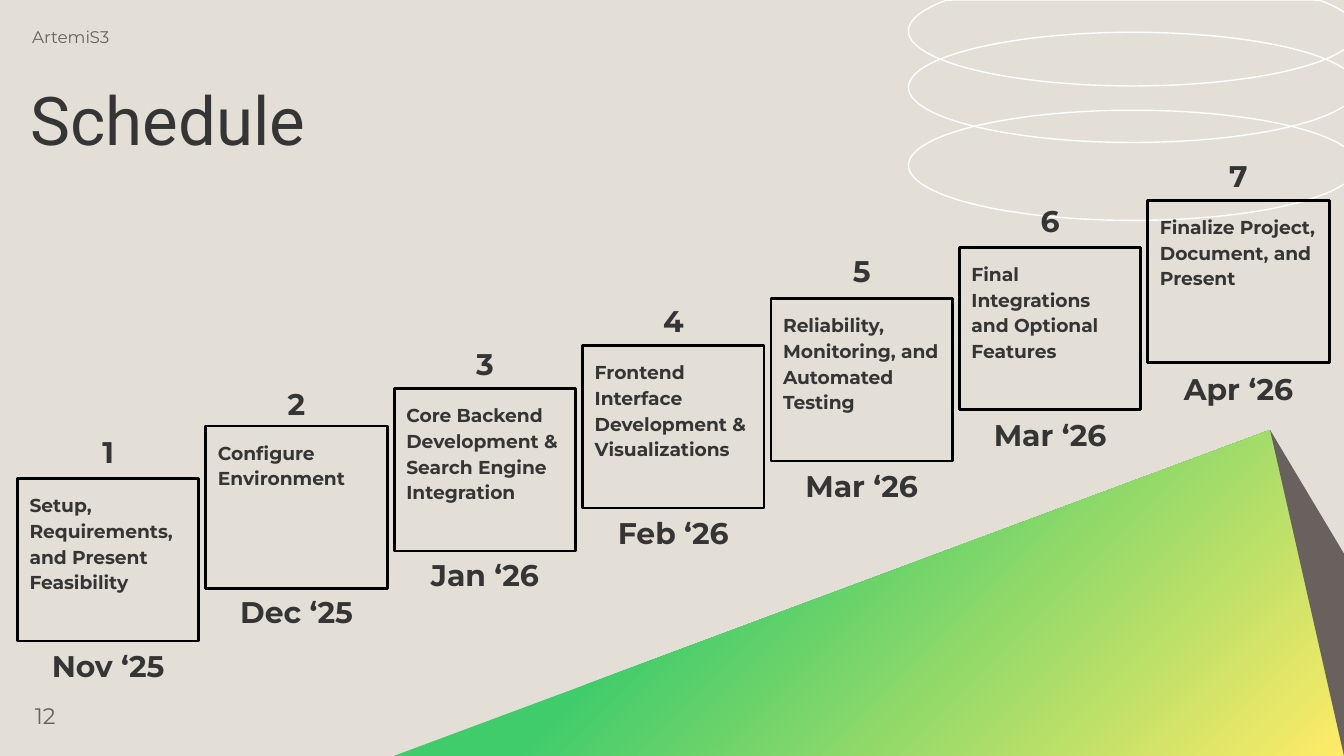
from copy import deepcopy
from dataclasses import dataclass
from math import acos, cos, pi, sin

from pptx import Presentation
from pptx.dml.color import RGBColor
from pptx.enum.shapes import MSO_SHAPE
from pptx.enum.text import MSO_ANCHOR, MSO_AUTO_SIZE, PP_ALIGN
from pptx.oxml.ns import qn
from pptx.shapes.autoshape import Shape
from pptx.slide import Slide
from pptx.text.text import TextFrame
from pptx.util import Inches, Pt

Point = tuple[float, float]

SLIDE_W = 10
SLIDE_H = SLIDE_W * 9 / 16
CARD_W, CARD_H = 1.35, 1.21
FIRST_X, LAST_X = 0.13, 8.54
LABEL_H, NUMBER_W = 0.37, 0.4
RING_X, RING_RX, RING_RY = 8.43, 1.67, 0.41
RING_YS = (0.23, 0.65, 1.23)
RING_STEPS = 96


@dataclass(frozen=True)
class Theme:
    background: str = "E3DFD6"
    text: str = "353535"
    muted: str = "69615E"
    outline: str = "000000"
    ring: str = "FFFFFF"
    gradient: tuple = ((0, "41CC6B"), (0.35, "41CC6B"), (1, "FFEB67"))
    body_font: str = "Montserrat"
    title_font: str = "Roboto"
    title_size: float = 36
    label_size: float = 16
    page_size: float = 12
    card_size: float = 10
    header_size: float = 9


@dataclass(frozen=True)
class Milestone:
    task: str
    date: str
    number_y: float
    card_y: float
    date_y: float


@dataclass(frozen=True)
class Style:
    size: float
    color: str
    font: str = Theme.body_font
    bold: bool = False
    align: PP_ALIGN = PP_ALIGN.LEFT
    anchor: MSO_ANCHOR = MSO_ANCHOR.TOP
    spacing: float = 1.0
    inset: float = 0.1


THEME = Theme()
TITLE = Style(THEME.title_size, THEME.text, THEME.title_font, spacing=0.9)
HEADER = Style(THEME.header_size, THEME.muted)
PAGE = Style(THEME.page_size, THEME.muted, anchor=MSO_ANCHOR.MIDDLE, inset=0)
CARD = Style(THEME.card_size, THEME.text, bold=True, spacing=1.15, inset=0.09)
LABEL = Style(THEME.label_size, THEME.text, bold=True, align=PP_ALIGN.CENTER)

MILESTONES = (
    Milestone("Setup, Requirements, and Present Feasibility", "Nov ‘25", 3.13, 3.56, 4.72),
    Milestone("Configure Environment", "Dec ‘25", 2.77, 3.17, 4.32),
    Milestone("Core Backend Development & Search Engine Integration", "Jan ‘26", 2.47, 2.89, 4.04),
    Milestone("Frontend Interface Development & Visualizations", "Feb ‘26", 2.15, 2.57, 3.73),
    Milestone("Reliability, Monitoring, and Automated Testing", "Mar ‘26", 1.78, 2.22, 3.38),
    Milestone("Final Integrations and Optional Features", "Mar ‘26", 1.41, 1.84, 3.0),
    Milestone("Finalize Project, Document, and Present", "Apr ‘26", 1.07, 1.49, 2.66),
)


def rgb(color: str) -> RGBColor:
    return RGBColor.from_string(color)


def write(tf: TextFrame, text: str, style: Style) -> None:
    tf.text = text
    tf.word_wrap = True
    tf.auto_size = MSO_AUTO_SIZE.NONE
    tf.vertical_anchor = style.anchor
    tf.margin_left = tf.margin_right = Inches(style.inset)
    tf.margin_top = tf.margin_bottom = Inches(style.inset)
    p = tf.paragraphs[0]
    p.alignment = style.align
    p.line_spacing = style.spacing
    font = p.runs[0].font
    font.name, font.size, font.bold = style.font, Pt(style.size), style.bold
    font.color.rgb = rgb(style.color)


def add_text(s: Slide, text: str, x: float, y: float, w: float, h: float, style: Style) -> None:
    box = s.shapes.add_textbox(Inches(x), Inches(y), Inches(w), Inches(h))
    write(box.text_frame, text, style)


def add_outline(s: Slide, points: list[Point], close: bool) -> Shape:
    start, *rest = [(Inches(x), Inches(y)) for x, y in points]
    builder = s.shapes.build_freeform(*start)
    builder.add_line_segments(rest, close=close)
    sp = builder.convert_to_shape()
    sp.shadow.inherit = False
    return sp


def add_ring(s: Slide, center_y: float) -> None:
    """Draw an ellipse cut off at the top and right edges of the slide."""
    start = acos((SLIDE_W - RING_X) / RING_RX)
    step = 2 * (pi - start) / RING_STEPS
    angles = [start + i * step for i in range(RING_STEPS + 1)]
    points = [(RING_X + RING_RX * cos(a), max(0, center_y + RING_RY * sin(a))) for a in angles]
    sp = add_outline(s, points, close=False)
    sp.fill.background()
    sp.line.color.rgb = rgb(THEME.ring)
    sp.line.width = Pt(0.75)


def add_mountain(s: Slide) -> None:
    peak, corner = (9.45, 3.2), (SLIDE_W, SLIDE_H)
    front = add_outline(s, [peak, corner, (2.93, SLIDE_H)], close=True)
    front.line.fill.background()
    fill = front.fill
    fill.gradient()
    fill.gradient_angle = 315
    stops = front._element.spPr.find(qn("a:gradFill")).find(qn("a:gsLst"))
    stops.append(deepcopy(stops[-1]))
    for stop, (position, color) in zip(fill.gradient_stops, THEME.gradient):
        stop.position = position
        stop.color.rgb = rgb(color)

    side = add_outline(s, [peak, corner, (SLIDE_W, 4.12)], close=True)
    side.line.fill.background()
    side.fill.solid()
    side.fill.fore_color.rgb = rgb(THEME.muted)


def add_milestone(s: Slide, number: int, x: float, item: Milestone) -> None:
    sp = s.shapes.add_shape(
        MSO_SHAPE.RECTANGLE, Inches(x), Inches(item.card_y), Inches(CARD_W), Inches(CARD_H)
    )
    sp.shadow.inherit = False
    sp.fill.background()
    sp.line.color.rgb = rgb(THEME.outline)
    sp.line.width = Pt(1.5)
    write(sp.text_frame, item.task, CARD)
    number_x = x + (CARD_W - NUMBER_W) / 2
    add_text(s, str(number), number_x, item.number_y, NUMBER_W, LABEL_H, LABEL)
    add_text(s, item.date, x, item.date_y, CARD_W, LABEL_H, LABEL)


def main() -> None:
    prs = Presentation()
    prs.slide_width, prs.slide_height = Inches(SLIDE_W), Inches(SLIDE_H)
    s = prs.slides.add_slide(prs.slide_layouts[5])
    s.background.fill.solid()
    s.background.fill.fore_color.rgb = rgb(THEME.background)

    for y in RING_YS:
        add_ring(s, y)
    add_mountain(s)

    title = s.shapes.title
    title.left, title.top = Inches(0.13), Inches(0.55)
    title.width, title.height = Inches(5.91), Inches(0.75)
    write(title.text_frame, "Schedule", TITLE)
    add_text(s, "ArtemiS3", 0.14, 0.1, 1.63, 0.21, HEADER)
    add_text(s, "12", 0.26, 5.22, 2.12, 0.21, PAGE)

    pitch = (LAST_X - FIRST_X) / (len(MILESTONES) - 1)
    for i, item in enumerate(MILESTONES):
        add_milestone(s, i + 1, FIRST_X + i * pitch, item)

    prs.save("out.pptx")


if __name__ == "__main__":
    main()
